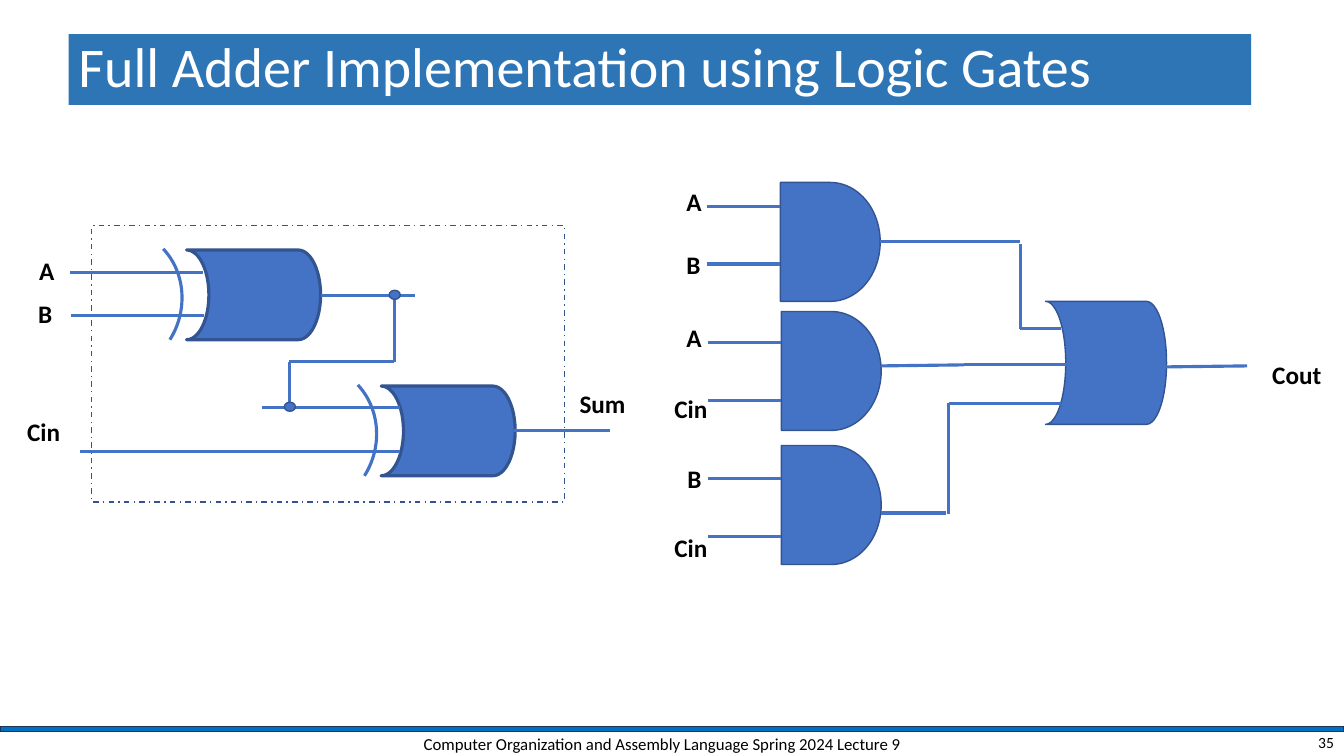
from pptx import Presentation
from pptx.dml.color import RGBColor
from pptx.enum.dml import MSO_LINE
from pptx.enum.shapes import MSO_CONNECTOR, MSO_SHAPE
from pptx.enum.text import MSO_ANCHOR, PP_ALIGN
from pptx.oxml.ns import qn
from pptx.util import Inches, Pt
from lxml.etree import SubElement


class Theme:
    font = "Calibri"
    gate = "4472C4"
    edge = "325491"
    banner = "2E75B6"
    rule = "0070C0"
    rim = "1E3256"
    ink = "000000"
    white = "FFFFFF"
    title, label, foot, page = 40, 18, 12, 11.1
    thin, thick = 1, 2.25


def draw(shapes, kind, box, fill, line, width=Theme.thin):
    """Add a preset shape; None for fill or line leaves that part out."""
    shape = shapes.add_shape(kind, *map(Inches, box))
    shape.shadow.inherit = False
    if fill:
        shape.fill.solid()
        shape.fill.fore_color.rgb = RGBColor.from_string(fill)
    else:
        shape.fill.background()
    if line:
        shape.line.color.rgb = RGBColor.from_string(line)
        shape.line.width = Pt(width)
    else:
        shape.line.fill.background()
    return shape


def write(shape, text, size, color=Theme.ink, bold=False,
          align=PP_ALIGN.LEFT, anchor=MSO_ANCHOR.MIDDLE):
    frame = shape.text_frame
    frame.text = text
    frame.word_wrap = True
    frame.vertical_anchor = anchor
    para = frame.paragraphs[0]
    para.alignment = align
    font = para.runs[0].font
    font.name, font.size, font.bold = Theme.font, Pt(size), bold
    font.color.rgb = RGBColor.from_string(color)


deck = Presentation()
deck.slide_width, deck.slide_height = Inches(13.33), Inches(7.5)
slide = deck.slides.add_slide(deck.slide_layouts[6])
shapes = slide.shapes

# Title and footer
draw(shapes, MSO_SHAPE.RECTANGLE, (0, 7.21, 13.33, 0.05), Theme.rule, Theme.rim)
title = draw(shapes, MSO_SHAPE.RECTANGLE, (0.68, 0.34, 11.73, 0.7), Theme.banner, None)
write(title, "Full Adder Implementation using Logic Gates", Theme.title, Theme.white)
title.text_frame.paragraphs[0].line_spacing = 0.9
for box, text, size, align in (
    ((10.33, 7.24, 3, 0.25), "35", Theme.page, PP_ALIGN.RIGHT),
    ((3.92, 7.24, 5.3, 0.28),
     "Computer Organization and Assembly Language Spring 2024 Lecture 9",
     Theme.foot, PP_ALIGN.CENTER),
):
    write(shapes.add_textbox(*map(Inches, box)), text, size, align=align)

# Gates of the sum circuit: two XOR gates in a dashed frame
total = shapes.add_group_shape().shapes
frame = draw(total, MSO_SHAPE.RECTANGLE, (0.91, 2.24, 4.69, 2.74), None, Theme.edge)
frame.line.dash_style = MSO_LINE.DASH_DOT
for x, y in ((1.85, 2.48), (3.78, 3.83)):
    xor = draw(total, MSO_SHAPE.FLOWCHART_STORED_DATA, (x, y, 1.33, 0.89),
               Theme.gate, Theme.edge, Theme.thick)
    xor.rotation = 180
    arc = draw(total, MSO_SHAPE.ARC, (x - 1.37, y - 0.21, 1.32, 1.44),
               None, Theme.gate, Theme.thick)
    arc.rotation = 17.2
    arc.adjustments[0], arc.adjustments[1] = 177.238, 10.641

# Gates of the carry circuit: three AND gates into one OR gate
carry = shapes.add_group_shape().shapes
wires = []
for x, y, pin in ((7.74, 1.81, 2.05), (7.75, 3.09, 3.4), (7.75, 4.42, 4.75)):
    draw(carry, MSO_SHAPE.FLOWCHART_DELAY, (x, y, 0.99, 1.18), Theme.gate, Theme.edge)
    wires += [(carry, x - 0.73, end, x, end) for end in (pin, pin + 0.57)]
gate = draw(carry, MSO_SHAPE.FLOWCHART_STORED_DATA, (10.37, 2.99, 1.2, 1.22),
            Theme.gate, Theme.edge)
gate.rotation = 180

# Wires: start x, y, end x, y
wires += [(total, *ends) for ends in (
    (0.69, 2.7, 2.01, 2.7), (0.7, 3.13, 2.02, 3.13), (3.18, 2.93, 4.12, 2.93),
    (3.91, 2.93, 3.91, 3.59), (3.91, 3.59, 2.87, 3.59), (2.87, 3.59, 2.87, 4.04),
    (2.6, 4.04, 3.97, 4.04), (0.79, 4.48, 3.97, 4.48), (5.1, 4.27, 6.05, 4.27),
)]
wires += [(carry, *ends) for ends in (
    (8.73, 2.4, 10.12, 2.4), (10.12, 2.42, 10.12, 3.26), (10.12, 3.26, 10.52, 3.26),
    (8.74, 3.63, 9.56, 3.62), (9.56, 3.62, 10.58, 3.62),
    (8.74, 5.09, 9.38, 5.09), (9.41, 5.1, 9.41, 4), (9.41, 4, 10.52, 4),
    (11.56, 3.64, 12.37, 3.63),
)]
for group, *ends in wires:
    wire = group.add_connector(MSO_CONNECTOR.STRAIGHT, *map(Inches, ends))
    wire.line.color.rgb = RGBColor.from_string(Theme.gate)
    wire.line.width = Pt(Theme.thick)
    SubElement(wire._element.spPr, qn("a:effectLst"))

# Junction dots
for x, y in ((3.86, 2.88), (2.82, 3.99)):
    draw(total, MSO_SHAPE.OVAL, (x, y, 0.11, 0.09), Theme.gate, Theme.edge)

# Signal names
for group, text, x, y in (
    (total, "A", 0.29, 2.48), (total, "B", 0.28, 2.91),
    (total, "Cin", 0.17, 4.08), (total, "Sum", 5.65, 3.8),
    (carry, "A", 6.71, 1.8), (carry, "B", 6.71, 2.42),
    (carry, "A", 6.71, 3.15), (carry, "Cin", 6.59, 3.85),
    (carry, "B", 6.72, 4.55), (carry, "Cin", 6.59, 5.23),
    (carry, "Cout", 12.52, 3.52),
):
    name = group.add_textbox(Inches(x), Inches(y), Inches(0.8), Inches(0.4))
    write(name, text, Theme.label, bold=True, anchor=MSO_ANCHOR.TOP)

deck.save("out.pptx")
